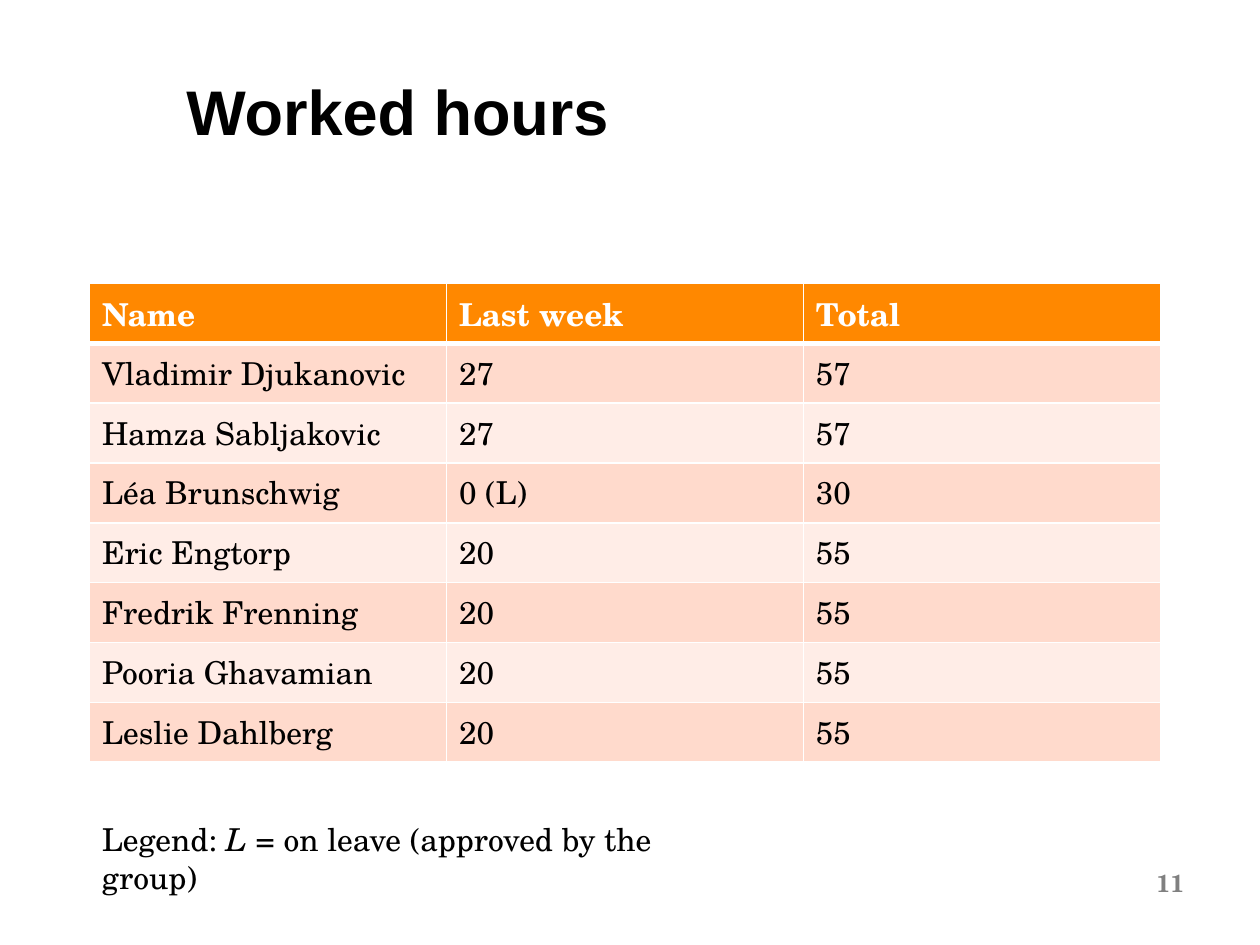
import pptx
import pptx.util
import pptx.dml.color
import pptx.enum.text
import pptx.oxml
import pptx.oxml.ns
from dataclasses import dataclass

Inches = pptx.util.Inches
Pt = pptx.util.Pt
Align = pptx.enum.text.PP_ALIGN
Anchor = pptx.enum.text.MSO_ANCHOR


@dataclass(frozen=True)
class Theme:
    """Colours, fonts and type sizes."""
    head: str = "Arial"
    body: str = "TeX Gyre Schola"
    ink: str = "000000"
    paper: str = "FFFFFF"
    grey: str = "808080"
    accent: str = "FF8800"
    bands: tuple = ("FFDACC", "FFEDE7")
    large: int = 36
    text: int = 18
    small: int = 14


class Page:
    """A slide with its theme and a method for each kind of element."""

    def __init__(self, deck, theme):
        self.theme = theme
        self.slide = deck.slides.add_slide(deck.slide_layouts[5])

    def style(self, run, size, color, bold=False, face=None):
        """Format one run."""
        font = run.font
        font.name = face or self.theme.body
        font.size = Pt(size)
        font.bold = bold
        font.color.rgb = pptx.dml.color.RGBColor.from_string(color)

    def title(self, text, left, top, width, height):
        """Fill and place the title."""
        shape = self.slide.shapes.title
        shape.left, shape.top = Inches(left), Inches(top)
        shape.width, shape.height = Inches(width), Inches(height)
        frame = shape.text_frame
        frame.text = text
        frame.vertical_anchor = Anchor.TOP
        para = frame.paragraphs[0]
        para.alignment = Align.LEFT
        para.line_spacing = Pt(40)
        self.style(para.runs[0], self.theme.large, self.theme.ink, True, self.theme.head)

    def label(self, parts, left, top, width, height, align=Align.LEFT, anchor=Anchor.TOP):
        """Add a text box and return its runs."""
        box = self.slide.shapes.add_textbox(
            Inches(left), Inches(top), Inches(width), Inches(height))
        frame = box.text_frame
        frame.word_wrap = True
        frame.vertical_anchor = anchor
        para = frame.paragraphs[0]
        para.alignment = align
        for part in parts:
            run = para.add_run()
            run.text = part
            self.style(run, self.theme.text, self.theme.ink)
        return para.runs

    def edge(self, cell, side, width):
        """Draw one border of a cell."""
        line = pptx.oxml.parse_xml(
            f'<a:{side} {pptx.oxml.ns.nsdecls("a")} w="{Pt(width)}"><a:solidFill>'
            f'<a:srgbClr val="{self.theme.paper}"/></a:solidFill></a:{side}>')
        cell._tc.get_or_add_tcPr().append(line)

    def table(self, rows, left, top, width, height):
        """Add a table with a header and banded rows."""
        theme = self.theme
        grid = self.slide.shapes.add_table(
            len(rows), len(rows[0]), Inches(left), Inches(top),
            Inches(width), Inches(height)).table
        for i, row in enumerate(rows):
            head = i == 0
            fill = theme.accent if head else theme.bands[(i - 1) % 2]
            for j, text in enumerate(row):
                cell = grid.cell(i, j)
                cell.text_frame.text = text
                run = cell.text_frame.paragraphs[0].runs[0]
                self.style(run, theme.text, theme.paper if head else theme.ink, head)
                for side in ("lnL", "lnR", "lnT", "lnB"):
                    thick = (side == "lnB" and head) or (side == "lnT" and i == 1)
                    self.edge(cell, side, 3 if thick else 1)
                cell.fill.solid()
                cell.fill.fore_color.rgb = pptx.dml.color.RGBColor.from_string(fill)


def main():
    """Build the slide and save it."""
    deck = pptx.Presentation()
    deck.slide_width, deck.slide_height = Inches(10), Inches(7.5)
    theme = Theme()
    page = Page(deck, theme)
    page.title("Worked hours", 1.38, 0.57, 7.17, 1.4)
    number = page.label(["11"], 8.62, 6.87, 0.88, 0.27, Align.RIGHT, Anchor.MIDDLE)
    page.style(number[0], theme.small, theme.grey, True)
    page.table([
        ("Name", "Last week", "Total"),
        ("Vladimir Djukanovic", "27", "57"),
        ("Hamza Sabljakovic", "27", "57"),
        ("Léa Brunschwig", "0 (L)", "30"),
        ("Eric Engtorp", "20", "55"),
        ("Fredrik Frenning", "20", "55"),
        ("Pooria Ghavamian", "20", "55"),
        ("Leslie Dahlberg", "20", "55"),
    ], 0.71, 2.25, 8.5, 3.8)
    legend = page.label(["Legend: ", "L ", "= on leave (approved by the group)"],
                        0.71, 6.46, 5.29, 0.4)
    legend[1].font.italic = True
    deck.save("out.pptx")


if __name__ == "__main__":
    main()
